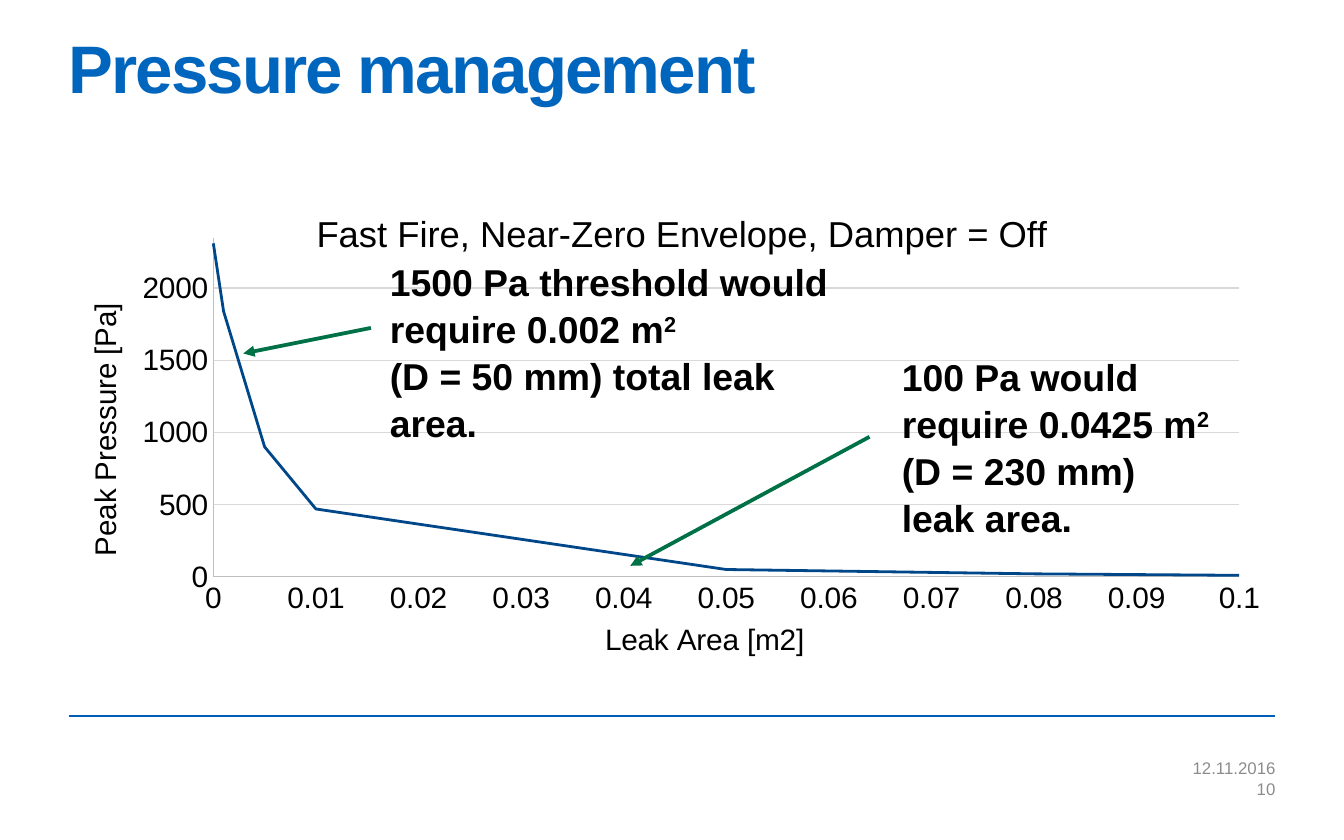
from dataclasses import dataclass

from lxml import etree
from pptx import Presentation
from pptx.chart.data import XyChartData
from pptx.dml.color import RGBColor
from pptx.enum.chart import XL_CHART_TYPE, XL_TICK_MARK
from pptx.enum.shapes import MSO_CONNECTOR
from pptx.enum.text import MSO_ANCHOR, PP_ALIGN
from pptx.oxml.ns import qn
from pptx.util import Inches, Pt

SMOOTH = XL_CHART_TYPE.XY_SCATTER_SMOOTH_NO_MARKERS
NO_TICK = XL_TICK_MARK.NONE
STRAIGHT = MSO_CONNECTOR.STRAIGHT
TOP, MIDDLE = MSO_ANCHOR.TOP, MSO_ANCHOR.MIDDLE
LEFT, RIGHT = PP_ALIGN.LEFT, PP_ALIGN.RIGHT


@dataclass(frozen=True)
class Theme:
    """Colours, font and type sizes of the slide."""
    font: str = "Arial"
    title: str = "0065BD"
    rule: str = "005EB8"
    curve: str = "00478A"
    arrow: str = "007047"
    ink: str = "000000"
    muted: str = "8C8C8C"
    axis: str = "BFBFBF"
    grid: str = "D9D9D9"
    head_pt: float = 36
    note_pt: float = 20
    chart_pt: float = 19.5
    label_pt: float = 16
    foot_pt: float = 9


THEME = Theme()
POINTS = [(0, 2310), (0.001, 1840), (0.005, 900), (0.01, 470),
          (0.05, 50), (0.08, 20), (0.1, 10)]


def style(font, size, color, bold=False):
    """Set the face, size, colour and weight of a font."""
    font.name, font.size, font.bold = THEME.font, Pt(size), bold
    font.color.rgb = RGBColor.from_string(color)


def stroke(line, color, width):
    """Set the colour and width of a line."""
    line.color.rgb = RGBColor.from_string(color)
    line.width = Pt(width)


def add_run(para, text, size, color, bold=False):
    """Add one styled run to a paragraph."""
    run = para.add_run()
    run.text = text
    style(run.font, size, color, bold)
    return run


def set_frame(frame, anchor=TOP, pads=(0, 0, 0, 0)):
    """Wrap a text frame and set its anchor and margins."""
    frame.word_wrap, frame.vertical_anchor = True, anchor
    (frame.margin_left, frame.margin_top,
     frame.margin_right, frame.margin_bottom) = map(Inches, pads)
    return frame


def add_text(slide, box, **opts):
    """Add a text box and return its frame."""
    shape = slide.shapes.add_textbox(*map(Inches, box))
    return set_frame(shape.text_frame, **opts)


def add_line(slide, start, end, color, width, head=False):
    """Draw a straight line, with an arrowhead at its end if asked."""
    line = slide.shapes.add_connector(STRAIGHT, *map(Inches, start + end))
    stroke(line.line, color, width)
    props = line._element.spPr
    if head:
        etree.SubElement(props.find(qn("a:ln")), qn("a:tailEnd"), type="triangle")
    etree.SubElement(props, qn("a:effectLst"))


def add_title(slide, box, text):
    """Place the title placeholder and fill it."""
    shape = slide.shapes.title
    shape.left, shape.top, shape.width, shape.height = map(Inches, box)
    para = set_frame(shape.text_frame).paragraphs[0]
    para.alignment, para.line_spacing = LEFT, 0.85
    run = add_run(para, text, THEME.head_pt, THEME.title, True)
    run._r.get_or_add_rPr().set("spc", "-100")


def place(node, index, **values):
    """Give a chart part a manual layout."""
    old = node.find(qn("c:layout"))
    if old is not None:
        node.remove(old)
    layout = etree.Element(qn("c:layout"))
    manual = etree.SubElement(layout, qn("c:manualLayout"))
    for key, value in values.items():
        etree.SubElement(manual, qn("c:" + key), val=str(value))
    node.insert(index, layout)


def label(title, text, size, x, y, turn=0):
    """Write a chart or axis title at a relative position."""
    frame = title.text_frame
    add_run(frame.paragraphs[0], text, size, THEME.ink)
    frame._txBody.bodyPr.set("rot", str(turn * 60000))
    place(title._element, 1, xMode="edge", yMode="edge", x=x, y=y)


def set_axis(axis, top, step):
    """Scale and style one axis."""
    axis.minimum_scale, axis.maximum_scale, axis.major_unit = 0, top, step
    axis.major_tick_mark = axis.minor_tick_mark = NO_TICK
    axis.has_major_gridlines = False
    axis.tick_labels.number_format = "General"
    axis.tick_labels.number_format_is_linked = False
    style(axis.tick_labels.font, THEME.label_pt, THEME.ink)
    stroke(axis.format.line, THEME.axis, 0.75)


def add_plot(slide, box):
    """Add the chart of peak pressure against leak area."""
    data = XyChartData()
    series = data.add_series("Series 1")
    for x, y in POINTS:
        series.add_data_point(x, y)
    chart = slide.shapes.add_chart(SMOOTH, *map(Inches, box), data).chart
    style(chart.font, THEME.label_pt, THEME.ink)
    chart.has_legend, chart.has_title = False, True
    plot = chart.plots[0]
    plot.vary_by_categories = False
    curve = plot.series[0]
    curve.smooth = True
    stroke(curve.format.line, THEME.curve, 1.5)
    area, peak = chart.category_axis, chart.value_axis
    set_axis(area, 0.1, 0.01)
    set_axis(peak, 2350, 500)
    peak.has_major_gridlines = True
    stroke(peak.major_gridlines.format.line, THEME.grid, 0.75)
    label(chart.chart_title, "Fast Fire, Near-Zero Envelope, Damper = Off",
          THEME.chart_pt, 0.2, 0.06)
    label(area.axis_title, "Leak Area [m2]", THEME.label_pt, 0.44, 0.91)
    label(peak.axis_title, "Peak Pressure [Pa]", THEME.label_pt, 0.01, 0.26, -90)
    place(chart._chartSpace.chart.plotArea, 0, layoutTarget="inner",
          xMode="edge", yMode="edge", x=0.12, y=0.13, w=0.85, h=0.7)


def add_note(slide, box, paras, start, end):
    """Add a bold note and its arrow; a caret marks a raised run."""
    add_line(slide, start, end, THEME.arrow, 2, True)
    frame = add_text(slide, box)
    for i, lines in enumerate(paras):
        para = frame.add_paragraph() if i else frame.paragraphs[0]
        para.line_spacing = 1.05
        for j, line in enumerate(lines):
            if j:
                para.add_line_break()
            base, _, power = line.partition("^")
            add_run(para, base, THEME.note_pt, THEME.ink, True)
            if power:
                run = add_run(para, power, THEME.note_pt, THEME.ink, True)
                run._r.get_or_add_rPr().set("baseline", "30000")


def add_foot(slide, box, texts):
    """Stack right-aligned footer lines in a box."""
    left, top, width, height = box
    step = height / len(texts)
    for i, text in enumerate(texts):
        frame = add_text(slide, (left, top + i * step, width, step),
                         anchor=MIDDLE, pads=(0.1, 0.05, 0, 0.05))
        para = frame.paragraphs[0]
        para.alignment = RIGHT
        add_run(para, text, THEME.foot_pt, THEME.muted)


def main():
    """Build and save the slide."""
    deck = Presentation()
    deck.slide_width, deck.slide_height = Inches(10), Inches(6.25)
    slide = deck.slides.add_slide(deck.slide_layouts[5])
    add_line(slide, (0.51, 5.33), (9.49, 5.33), THEME.rule, 1)
    add_title(slide, (0.51, 0.29, 8.98, 1.09), "Pressure management")
    add_foot(slide, (5.53, 5.63, 3.96, 0.32), ["12.11.2016", "10"])
    add_plot(slide, (0.51, 1.3, 8.98, 3.65))
    add_note(slide, (6.71, 2.62, 3.29, 1.35),
             [["100 Pa would", "require 0.0425 m^2", "(D = 230 mm)"],
              ["leak area."]], (6.47, 3.25), (4.69, 4.21))
    add_note(slide, (2.9, 1.91, 3.29, 1.35),
             [["1500 Pa threshold would require 0.002 m^2",
               "(D = 50 mm) total leak area."]], (2.76, 2.44), (1.81, 2.63))
    deck.save("out.pptx")


if __name__ == "__main__":
    main()
